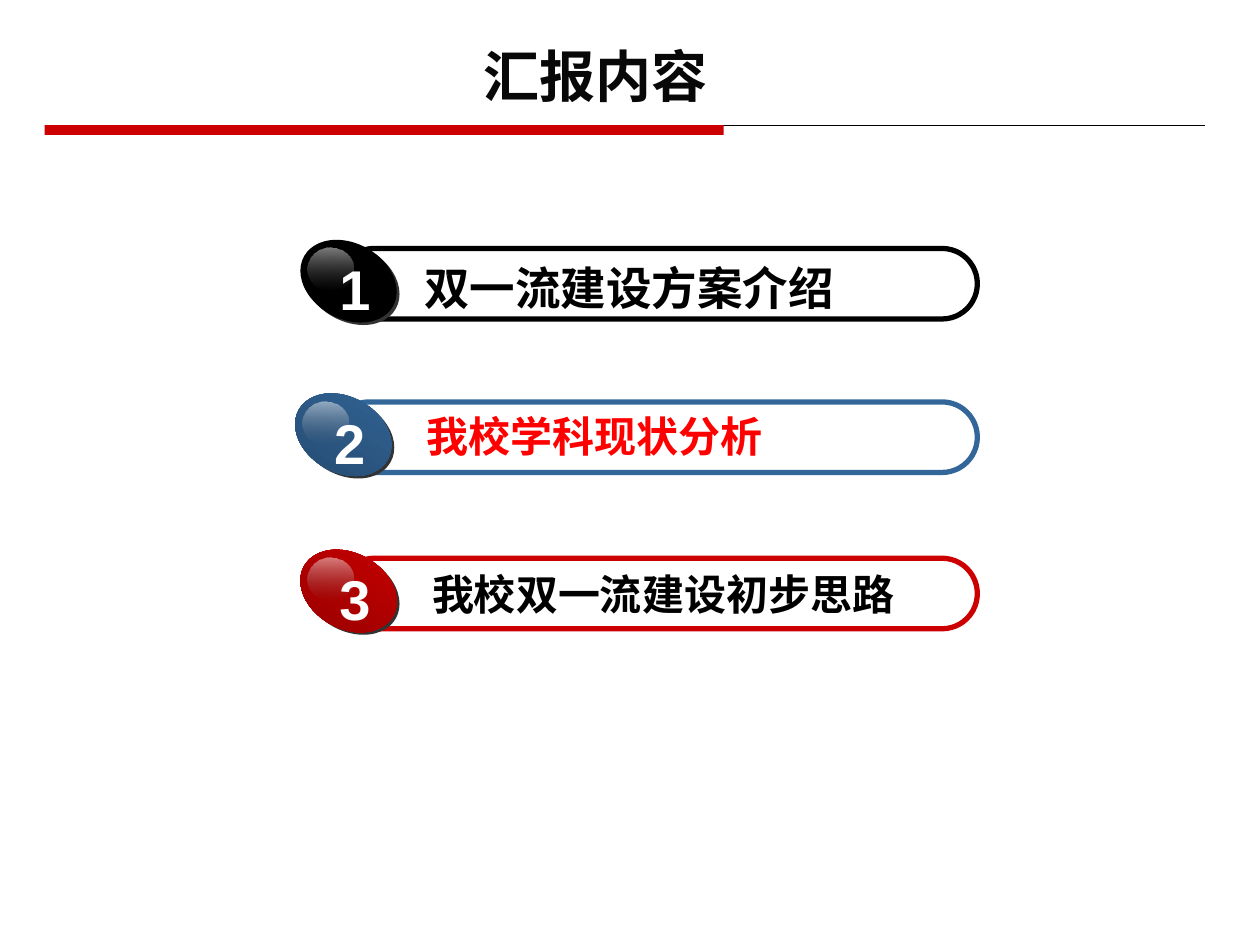
"""Build the agenda slide with three numbered pill-shaped entries."""
from dataclasses import dataclass
from typing import Optional

from lxml import etree
from pptx import Presentation
from pptx.dml.color import RGBColor
from pptx.enum.shapes import MSO_CONNECTOR, MSO_SHAPE
from pptx.enum.text import MSO_ANCHOR, MSO_AUTO_SIZE, PP_ALIGN
from pptx.oxml.ns import qn
from pptx.util import Pt

RECTANGLE = MSO_SHAPE.RECTANGLE
ROUNDED = MSO_SHAPE.ROUNDED_RECTANGLE
OVAL = MSO_SHAPE.OVAL
STRAIGHT = MSO_CONNECTOR.STRAIGHT
CENTER = PP_ALIGN.CENTER
BOTTOM = MSO_ANCHOR.BOTTOM
GROW = MSO_AUTO_SIZE.SHAPE_TO_FIT_TEXT
FIXED = MSO_AUTO_SIZE.NONE

COLORS = {
    "title": "080808", "black": "000000", "white": "FFFFFF", "shadow": "333333",
    "gloss": "767676", "red": "CC0000", "dark_red": "920000",
    "blue": "336699", "dark_blue": "24496D", "highlight": "FF0000",
}
LATIN_FONT = "Arial"
CHINESE_FONT = "Noto Sans CJK SC"
PILL_RIGHT = 558.5
PILL_HEIGHT = 40.3
BALL_WIDTH, BALL_HEIGHT, BALL_TILT = 58.3, 43.2, 29.3


@dataclass
class Box:
    left: float
    top: float
    width: float
    height: float

    def lengths(self) -> tuple:
        return Pt(self.left), Pt(self.top), Pt(self.width), Pt(self.height)


@dataclass
class Entry:
    number: str
    caption: str
    ball_left: float
    pill_top: float
    color: str
    ball_end: Optional[str]
    caption_box: Box
    caption_size: float
    caption_color: str


ENTRIES = [
    Entry("1", "双一流建设方案介绍", 170, 142, "black", None,
          Box(235.4, 140.4, 275, 38.9), 26, "black"),
    Entry("2", "我校学科现状分析", 167, 229.7, "blue", "dark_blue",
          Box(236.9, 226.8, 278.6, 36.7), 24, "highlight"),
    Entry("3", "我校双一流建设初步思路", 170, 319, "red", "dark_red",
          Box(239.8, 316.8, 307.4, 41), 24, "black"),
]


def color(name: str) -> RGBColor:
    return RGBColor.from_string(COLORS[name])


def fill_gradient(shape, names: tuple, opacities: tuple = ()) -> None:
    shape.fill.gradient()
    shape.fill.gradient_angle = 270
    for stop, name in zip(shape.fill.gradient_stops, names):
        stop.color.rgb = color(name)
    hues = shape._element.spPr.iter(qn("a:srgbClr"))
    for hue, opacity in zip(hues, opacities):
        etree.SubElement(hue, qn("a:alpha")).set("val", str(opacity * 1000))


def add_plain_shape(shapes, kind, box: Box, fill: Optional[str] = None):
    shape = shapes.add_shape(kind, *box.lengths())
    shape.shadow.inherit = False
    shape.line.fill.background()
    if fill:
        shape.fill.solid()
        shape.fill.fore_color.rgb = color(fill)
    else:
        shape.fill.background()
    return shape


def add_run(paragraph, text: str, size: float, name: str, font: str) -> None:
    run = paragraph.add_run()
    run.text = text
    run.font.name = font
    run.font.size = Pt(size)
    run.font.bold = True
    run.font.color.rgb = color(name)
    if font == CHINESE_FONT:
        latin = run.font._element.find(qn("a:latin"))
        east_asian = etree.Element(qn("a:ea"), typeface=font)
        latin.addnext(east_asian)


def add_label(shapes, box: Box, wrap: bool):
    frame = shapes.add_textbox(*box.lengths()).text_frame
    frame.word_wrap = wrap
    frame.auto_size = GROW
    return frame.paragraphs[0]


def add_ball(shapes, entry: Entry) -> None:
    left, top = entry.ball_left, entry.pill_top - 2.9
    shadow_box = Box(left + 1.6, top + 1.4, BALL_WIDTH, BALL_HEIGHT)
    shadow = add_plain_shape(shapes, OVAL, shadow_box, "shadow")
    ball = add_plain_shape(shapes, OVAL, Box(left, top, BALL_WIDTH, BALL_HEIGHT), entry.color)
    shadow.rotation = ball.rotation = BALL_TILT
    if entry.ball_end:
        fill_gradient(ball, (entry.color, entry.ball_end))
    gloss = add_plain_shape(shapes, OVAL, Box(left + 5.6, top + 2.5, 26.6, 24.5))
    fill_gradient(gloss, ("white", "gloss"), (50, 0))


def add_entry(slide, entry: Entry) -> None:
    shapes = slide.shapes.add_group_shape().shapes
    pill_left = entry.ball_left + 23.7
    pill_box = Box(pill_left, entry.pill_top, PILL_RIGHT - pill_left, PILL_HEIGHT)
    pill = add_plain_shape(shapes, ROUNDED, pill_box)
    pill.adjustments[0] = 0.5
    pill.line.color.rgb = color(entry.color)
    pill.line.width = Pt(3)
    add_ball(shapes, entry)
    caption = add_label(shapes, entry.caption_box, True)
    caption.line_spacing = 1.15
    add_run(caption, entry.caption, entry.caption_size, entry.caption_color, CHINESE_FONT)
    number_box = Box(entry.ball_left + 16.9, entry.pill_top, 31, 41.8)
    number = add_label(shapes, number_box, False)
    number.alignment = CENTER
    add_run(number, entry.number, 32, "white", LATIN_FONT)


def add_header(slide) -> None:
    rule = slide.shapes.add_connector(STRAIGHT, Pt(25.5), Pt(71.5), Pt(688.7), Pt(71.5))
    rule.line.color.rgb = color("black")
    rule.line.width = Pt(0.5)
    etree.SubElement(rule._element.spPr, qn("a:effectLst"))
    add_plain_shape(slide.shapes, RECTANGLE, Box(25.5, 71.5, 388, 5.6), "red")
    title = slide.shapes.title
    title.left, title.top, title.width, title.height = Box(48.2, 20.2, 584, 45.4).lengths()
    frame = title.text_frame
    frame.auto_size = FIXED
    frame.vertical_anchor = BOTTOM
    frame.paragraphs[0].alignment = CENTER
    add_run(frame.paragraphs[0], "汇报内容", 32, "title", LATIN_FONT)


def main() -> None:
    presentation = Presentation()
    presentation.slide_width, presentation.slide_height = Pt(720), Pt(540)
    slide = presentation.slides.add_slide(presentation.slide_layouts[5])
    add_header(slide)
    for entry in ENTRIES:
        add_entry(slide, entry)
    presentation.save("out.pptx")


if __name__ == "__main__":
    main()
